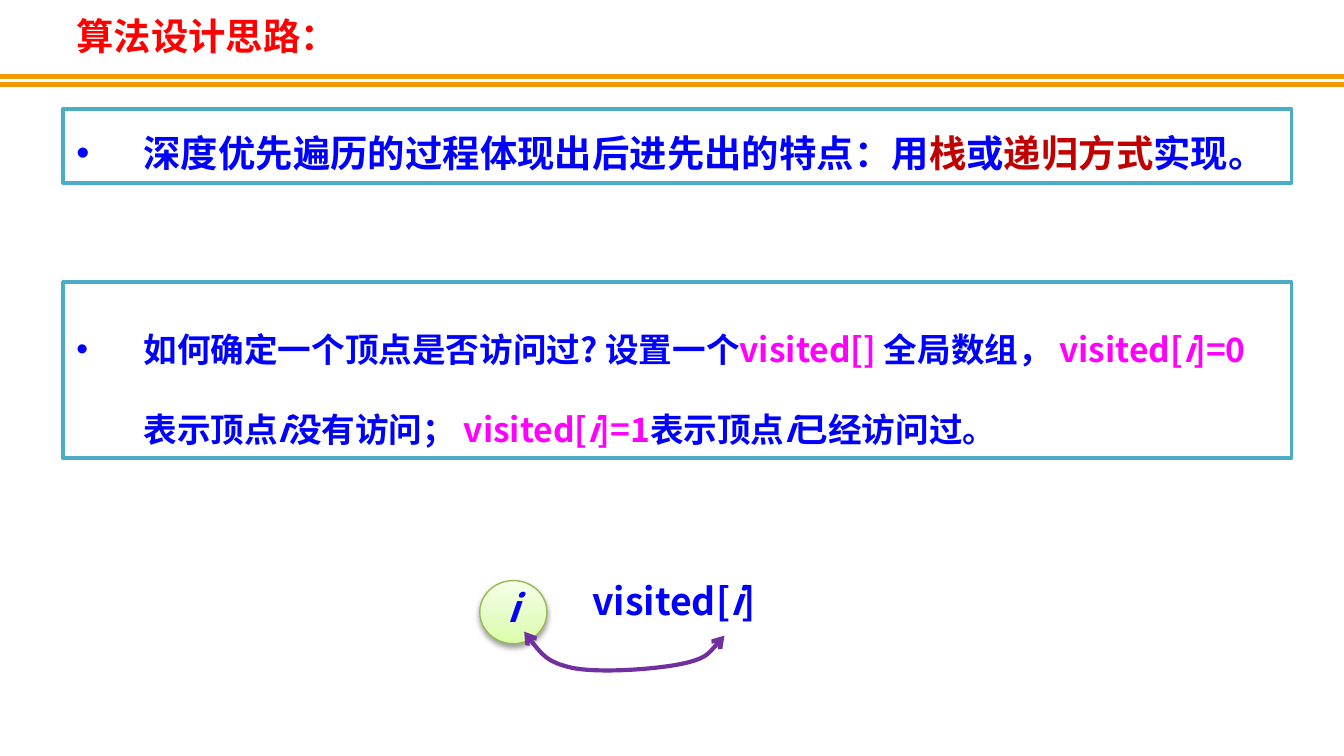
from dataclasses import dataclass

from lxml.etree import SubElement
from pptx import Presentation
from pptx.dml.color import RGBColor
from pptx.enum.shapes import MSO_CONNECTOR, MSO_SHAPE
from pptx.enum.text import MSO_ANCHOR, PP_ALIGN
from pptx.oxml import parse_xml
from pptx.oxml.ns import nsdecls, qn
from pptx.util import Inches, Pt


@dataclass(frozen=True)
class Theme:
    font: str = "Noto Sans CJK SC"
    blue: str = "0000FF"
    red: str = "FF0000"
    dark_red: str = "C00000"
    magenta: str = "FF00FF"
    white: str = "FFFFFF"
    rule: str = "F19903"
    frame: str = "4BACC6"
    vertex_line: str = "98B955"
    arrow: str = "7030A0"
    vertex_gradient: tuple = ((0, "DAFDA7"), (35, "E4FCC2"), (100, "F5FFE7"))
    large: int = 20
    body: int = 18


THEME = Theme()
BLUE, MAGENTA = THEME.blue, THEME.magenta

# Runs are (text, colour, italic).
TITLE = [("算法设计思路：", THEME.red, False)]
STACK_IDEA = [
    ("深度优先遍历的过程体现出后进先出的特点：用", BLUE, False),
    ("栈", THEME.dark_red, False),
    ("或", BLUE, False),
    ("递归方式", THEME.dark_red, False),
    ("实现。", BLUE, False),
]


def state_runs(value, meaning):
    """Runs that explain one value of visited[i]."""
    return [
        ("visited[", MAGENTA, False),
        ("i", MAGENTA, True),
        (f"]={value}", MAGENTA, False),
        ("表示顶点", BLUE, False),
        ("i", BLUE, True),
        (meaning, BLUE, False),
    ]


VISITED_IDEA = [
    ("如何确定一个顶点是否访问过? 设置一个", BLUE, False),
    ("visited[] ", MAGENTA, False),
    ("全局数组， ", BLUE, False),
    *state_runs(0, "没有访问； "),
    *state_runs(1, "已经访问过。"),
]
VERTEX = [("i", BLUE, True)]
ARRAY_ITEM = [("visited[", BLUE, False), ("i", BLUE, True), ("]", BLUE, False)]

SLIDE_WIDTH = Inches(10)
SLIDE_HEIGHT = SLIDE_WIDTH * 9 // 16
RULE_TOPS = (0.57, 0.63)
# Boxes are (top, height, size, line spacing, runs).
IDEA_BOXES = [
    (0.81, 0.55, THEME.large, Pt(32), STACK_IDEA),
    (2.1, 1.31, THEME.body, Pt(43), VISITED_IDEA),
]
# Texts are (left, top, width, height, runs).
TEXTS = [(0.47, 0.11, 2.5, 0.37, TITLE), (4.31, 4.32, 1.81, 0.37, ARRAY_ITEM)]
LINK_START = (3.9, 4.7)
LINK_CURVES = [
    ((3.98, 4.81), (4.07, 4.93), (4.26, 4.97)),
    ((4.46, 5.01), (4.88, 4.98), (5.07, 4.94)),
    ((5.26, 4.9), (5.32, 4.81), (5.39, 4.73)),
]


def color(value):
    return RGBColor.from_string(value)


def set_line(shape, value, width):
    shape.line.color.rgb = color(value)
    shape.line.width = Pt(width)


def write_runs(shape, runs, size, spacing=0.8, align=PP_ALIGN.LEFT, bullet=False):
    paragraph = shape.text_frame.paragraphs[0]
    paragraph.alignment = align
    paragraph.line_spacing = spacing
    if bullet:
        properties = paragraph._p.get_or_add_pPr()
        properties.set("marL", str(Inches(0.5)))
        properties.set("indent", str(Inches(-0.5)))
        SubElement(properties, qn("a:buFont")).set("typeface", "Arial")
        SubElement(properties, qn("a:buChar")).set("char", "•")
    for text, run_color, italic in runs:
        run = paragraph.add_run()
        run.text = text
        font_format = {"name": THEME.font, "size": Pt(size), "bold": True, "italic": italic}
        for name, value in font_format.items():
            setattr(run.font, name, value)
        run.font.color.rgb = color(run_color)
        SubElement(run._r.get_or_add_rPr(), qn("a:ea")).set("typeface", THEME.font)


def add_rule(slide, top):
    rule = slide.shapes.add_connector(
        MSO_CONNECTOR.STRAIGHT, 0, Inches(top), SLIDE_WIDTH, Inches(top))
    set_line(rule, THEME.rule, 3)
    SubElement(rule._element.spPr, qn("a:effectLst"))


def add_idea_box(slide, top, height, size, spacing, runs):
    box = slide.shapes.add_shape(
        MSO_SHAPE.RECTANGLE, Inches(0.47), Inches(top), Inches(9.14), Inches(height))
    box.shadow.inherit = False
    box.fill.solid()
    box.fill.fore_color.rgb = color(THEME.white)
    set_line(box, THEME.frame, 2)
    frame_format = {
        "word_wrap": True,
        "vertical_anchor": MSO_ANCHOR.TOP,
        "margin_right": Inches(0.15),
    }
    for name, value in frame_format.items():
        setattr(box.text_frame, name, value)
    write_runs(box, runs, size, spacing, bullet=True)


def add_text(slide, left, top, width, height, runs):
    box = slide.shapes.add_textbox(*map(Inches, (left, top, width, height)))
    box.text_frame.word_wrap = True
    write_runs(box, runs, THEME.large)


def add_vertex(slide):
    vertex = slide.shapes.add_shape(
        MSO_SHAPE.OVAL, Inches(3.57), Inches(4.32), Inches(0.5), Inches(0.47))
    set_line(vertex, THEME.vertex_line, 0.75)
    stops = "".join(
        f'<a:gs pos="{position * 1000}"><a:srgbClr val="{value}"/></a:gs>'
        for position, value in THEME.vertex_gradient)
    vertex._element.spPr.find(qn("a:prstGeom")).addnext(parse_xml(
        f'<a:gradFill {nsdecls("a")} rotWithShape="1"><a:gsLst>{stops}</a:gsLst>'
        '<a:lin ang="16200000" scaled="0"/></a:gradFill>'))
    vertex.shadow.inherit = False
    vertex._element.spPr.find(qn("a:effectLst")).append(parse_xml(
        f'<a:outerShdw {nsdecls("a")} blurRad="{Pt(3.1)}" dist="{Pt(1.6)}" dir="5400000" '
        'rotWithShape="0"><a:srgbClr val="000000"><a:alpha val="38000"/></a:srgbClr>'
        '</a:outerShdw>'))
    vertex.text_frame.word_wrap = False
    vertex.text_frame.vertical_anchor = MSO_ANCHOR.MIDDLE
    write_runs(vertex, VERTEX, THEME.large, align=PP_ALIGN.CENTER)


def add_link(slide):
    """Curved double arrow; each three line segments become one Bezier segment."""
    builder = slide.shapes.build_freeform(*map(Inches, LINK_START), scale=1.0)
    points = [tuple(map(Inches, point)) for curve in LINK_CURVES for point in curve]
    builder.add_line_segments(points, close=False)
    link = builder.convert_to_shape()
    link.shadow.inherit = False
    link.fill.background()
    set_line(link, THEME.arrow, 2.25)
    for end in ("headEnd", "tailEnd"):
        SubElement(link.line._get_or_add_ln(), qn(f"a:{end}")).set("type", "arrow")
    segments = list(link._element.iter(qn("a:lnTo")))
    for first in range(0, len(segments), 3):
        curve = parse_xml(f'<a:cubicBezTo {nsdecls("a")}/>')
        segments[first].addprevious(curve)
        for segment in segments[first:first + 3]:
            curve.append(segment[0])
            segment.getparent().remove(segment)


def main():
    presentation = Presentation()
    presentation.slide_width = SLIDE_WIDTH
    presentation.slide_height = SLIDE_HEIGHT
    slide = presentation.slides.add_slide(presentation.slide_layouts[6])
    for top in RULE_TOPS:
        add_rule(slide, top)
    for box in IDEA_BOXES:
        add_idea_box(slide, *box)
    add_vertex(slide)
    for text in TEXTS:
        add_text(slide, *text)
    add_link(slide)
    presentation.save("out.pptx")


if __name__ == "__main__":
    main()
